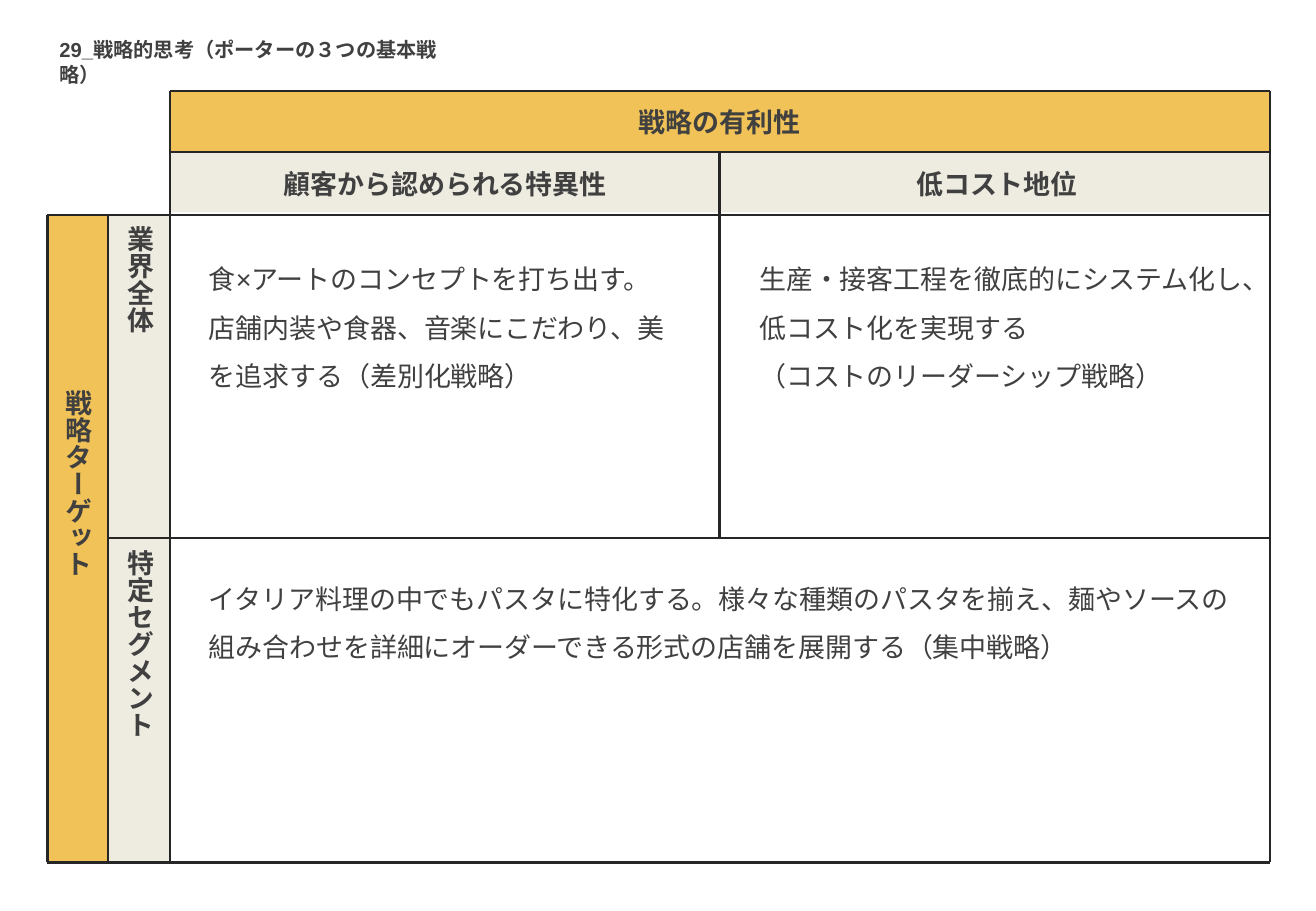
from lxml import etree
from pptx import Presentation
from pptx.dml.color import RGBColor
from pptx.enum.shapes import MSO_CONNECTOR, MSO_SHAPE
from pptx.enum.text import MSO_ANCHOR, MSO_AUTO_SIZE, PP_ALIGN
from pptx.oxml.ns import qn
from pptx.util import Inches, Pt

RECT = MSO_SHAPE.RECTANGLE
STRAIGHT = MSO_CONNECTOR.STRAIGHT
FIT = MSO_AUTO_SIZE.SHAPE_TO_FIT_TEXT
TOP, MIDDLE = MSO_ANCHOR.TOP, MSO_ANCHOR.MIDDLE
LEFT, CENTER = PP_ALIGN.LEFT, PP_ALIGN.CENTER

GOLD = RGBColor(0xF0, 0xC2, 0x57)
BEIGE = RGBColor(0xEE, 0xEC, 0xE1)
INK = RGBColor(0x26, 0x26, 0x26)
GREY = RGBColor(0x40, 0x40, 0x40)
FONT = "Arial"

# Grid of the matrix, in inches
X_TARGET, X_SCOPE, X_BODY, X_SPLIT, X_END = 0.39, 0.89, 1.4, 5.92, 10.45
Y_HEAD, Y_SUB, Y_BODY, Y_SPLIT, Y_END = 0.75, 1.25, 1.77, 4.43, 7.1
BAND = 0.5
BODY_W, BODY_H = X_END - X_BODY, Y_END - Y_BODY

# Rectangles: x, y, width, height, colour
BANDS = (
    (X_SCOPE, Y_BODY, BAND, BODY_H, BEIGE),
    (X_TARGET, Y_BODY, BAND, BODY_H, GOLD),
    (X_BODY, Y_SUB, BODY_W, BAND, BEIGE),
    (X_BODY, Y_HEAD, BODY_W, BAND, GOLD),
)
# Horizontal rules run from x to X_END: x, y
ROW_RULES = ((X_BODY, Y_HEAD), (X_BODY, Y_SUB), (X_TARGET, Y_BODY),
             (X_SCOPE, Y_SPLIT), (X_TARGET, Y_END))
# Vertical rules: x, top, bottom
COLUMN_RULES = ((X_TARGET, Y_BODY, Y_END), (X_SCOPE, Y_BODY, Y_END),
                (X_BODY, Y_HEAD, Y_END), (X_SPLIT, Y_SUB, Y_SPLIT),
                (X_END, Y_HEAD, Y_END))

# Headings: x, y, length, text
HEADING_DEPTH_ACROSS, HEADING_DEPTH_DOWN = 0.37, 0.47
COLUMN_HEADINGS = (
    (4.67, 0.82, 2.5, "戦略の有利性"),
    (1.41, 1.33, 4.51, "顧客から認められる特異性"),
    (5.95, 1.33, 4.51, "低コスト地位"),
)
ROW_HEADINGS = (
    (0.41, 3.11, 2.65, "戦略ターゲット"),
    (0.92, 1.76, 2.67, "業界全体"),
    (0.92, 4.43, 2.67, "特定セグメント"),
)
# Strategies: x, y, width, height, paragraphs
STRATEGIES = (
    (1.62, 1.98, 4.09, 1.27,
     ("食×アートのコンセプトを打ち出す。",
      "店舗内装や食器、音楽にこだわり、美を追求する（差別化戦略）")),
    (6.15, 1.98, 4.25, 1.27,
     ("生産・接客工程を徹底的にシステム化し、低コスト化を実現する",
      "（コストのリーダーシップ戦略）")),
    (1.62, 4.61, 8.63, 0.87,
     ("イタリア料理の中でもパスタに特化する。様々な種類のパスタを揃え、麺やソースの"
      "組み合わせを詳細にオーダーできる形式の店舗を展開する（集中戦略）",)),
)


def add_text(tf, paragraphs, size=16, bold=False, align=LEFT, spacing=None):
    for i, text in enumerate(paragraphs):
        p = tf.add_paragraph() if i else tf.paragraphs[0]
        p.alignment = align
        p.line_spacing = spacing
        r = p.add_run()
        r.text = text
        r.font.name = FONT
        r.font.size = Pt(size)
        r.font.bold = bold
        r.font.color.rgb = GREY
        # East Asian typeface
        etree.SubElement(r.font._element, qn("a:ea"), typeface=FONT)


class MatrixSlide:
    def __init__(self, prs):
        self.s = prs.slides.add_slide(prs.slide_layouts[6])

    def band(self, x, y, w, h, color):
        sp = self.s.shapes.add_shape(RECT, Inches(x), Inches(y), Inches(w), Inches(h))
        sp.shadow.inherit = False
        sp.fill.solid()
        sp.fill.fore_color.rgb = color
        sp.line.fill.background()

    def rule(self, x1, y1, x2, y2):
        c = self.s.shapes.add_connector(
            STRAIGHT, Inches(x1), Inches(y1), Inches(x2), Inches(y2))
        c.line.color.rgb = INK
        c.line.width = Pt(1.5)
        etree.SubElement(c._element.spPr, qn("a:effectLst"))

    def text(self, x, y, w, h, paragraphs, anchor=TOP, vertical=False, **fmt):
        box = self.s.shapes.add_textbox(Inches(x), Inches(y), Inches(w), Inches(h))
        tf = box.text_frame
        tf.word_wrap = True
        tf.auto_size = FIT
        tf.vertical_anchor = anchor
        if vertical:
            tf._txBody.bodyPr.set("vert", "eaVert")
        add_text(tf, paragraphs, **fmt)

    def heading(self, x, y, length, text, vertical=False):
        if vertical:
            w, h = HEADING_DEPTH_DOWN, length
        else:
            w, h = length, HEADING_DEPTH_ACROSS
        self.text(x, y, w, h, [text], anchor=MIDDLE, vertical=vertical,
                  bold=True, align=CENTER)


def main():
    prs = Presentation()
    prs.slide_width, prs.slide_height = Inches(10.83), Inches(7.5)
    matrix = MatrixSlide(prs)

    # Coloured bands
    for band in BANDS:
        matrix.band(*band)

    # Grid lines
    for x, y in ROW_RULES:
        matrix.rule(x, y, X_END, y)
    for x, top, bottom in COLUMN_RULES:
        matrix.rule(x, top, x, bottom)

    # Title
    matrix.text(X_TARGET, 0.26, 3.6, 0.3,
                ["29_戦略的思考（ポーターの３つの基本戦略）"], size=12, bold=True)

    # Column and row headings
    for heading in COLUMN_HEADINGS:
        matrix.heading(*heading)
    for heading in ROW_HEADINGS:
        matrix.heading(*heading, vertical=True)

    # Strategies
    for strategy in STRATEGIES:
        matrix.text(*strategy, spacing=1.5)

    prs.save("out.pptx")


if __name__ == "__main__":
    main()
